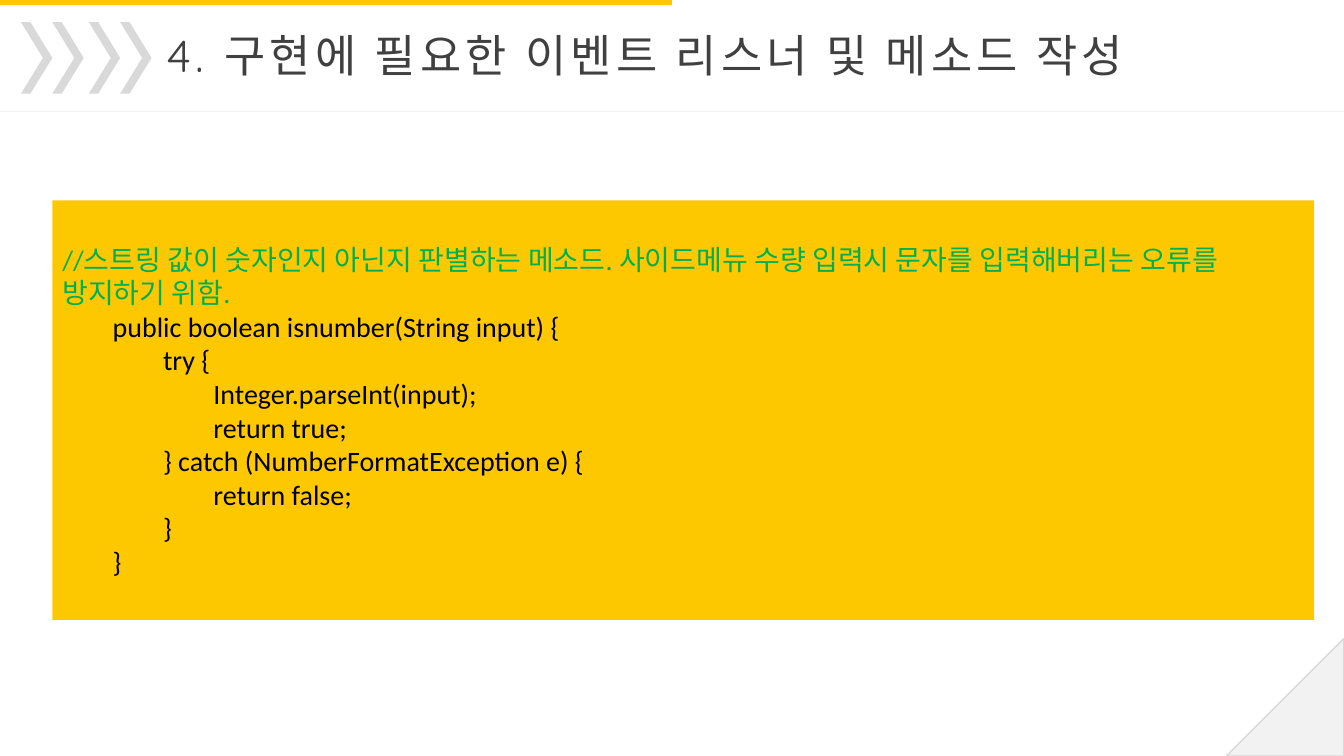
from dataclasses import dataclass

from lxml.etree import SubElement
from pptx import Presentation
from pptx.dml.color import RGBColor
from pptx.enum.shapes import MSO_CONNECTOR, MSO_SHAPE as Preset
from pptx.enum.text import MSO_ANCHOR, MSO_AUTO_SIZE, PP_ALIGN
from pptx.oxml.ns import qn
from pptx.shapes.autoshape import Shape
from pptx.slide import Slide
from pptx.text.text import _Paragraph as Paragraph
from pptx.util import Cm, Pt

YELLOW = RGBColor(0xFE, 0xC8, 0x00)
GREEN = RGBColor(0x00, 0xB0, 0x50)
BLACK = RGBColor(0x00, 0x00, 0x00)
DARK_GRAY = RGBColor(0x40, 0x40, 0x40)
GRAY = RGBColor(0xD9, 0xD9, 0xD9)
PALE_GRAY = RGBColor(0xF2, 0xF2, 0xF2)

SLIDE_WIDTH, SLIDE_HEIGHT = 33.87, 19.05
FOLD_SIZE = 2.96
RULE_TOP = 2.8
CHEVRON_WIDTH = 0.79
CHEVRON_PAIR_LEFTS = (0.53, 2.24)

TITLE = "4. 구현에 필요한 이벤트 리스너 및 메소드 작성"
COMMENT = (
    "//스트링 값이 숫자인지 아닌지 판별하는 메소드. "
    "사이드메뉴 수량 입력시 문자를 입력해버리는 오류를 방지하기 위함."
)


@dataclass(frozen=True)
class Area:
    """Left, top, width and height in centimetres."""

    left: float
    top: float
    width: float
    height: float

    def lengths(self) -> tuple[Cm, Cm, Cm, Cm]:
        return Cm(self.left), Cm(self.top), Cm(self.width), Cm(self.height)


@dataclass(frozen=True)
class CodeLine:
    depth: int
    text: str
    color: RGBColor = BLACK


CODE = (
    CodeLine(0, COMMENT, GREEN),
    CodeLine(1, "public boolean isnumber(String input) {"),
    CodeLine(2, "try {"),
    CodeLine(3, "Integer.parseInt(input);"),
    CodeLine(3, "return true;"),
    CodeLine(2, "} catch (NumberFormatException e) {"),
    CodeLine(3, "return false;"),
    CodeLine(2, "}"),
    CodeLine(1, "}"),
)


def add_filled(shapes, preset: Preset, area: Area, color: RGBColor) -> Shape:
    shape = shapes.add_shape(preset, *area.lengths())
    shape.shadow.inherit = False
    shape.fill.solid()
    shape.fill.fore_color.rgb = color
    shape.line.fill.background()
    return shape


def format_spans(para: Paragraph, font: str, size: int, color: RGBColor) -> None:
    for span in para.runs:
        span.font.name = font
        span.font.size = Pt(size)
        span.font.color.rgb = color


def add_corner_fold(page: Slide) -> None:
    area = Area(SLIDE_WIDTH - FOLD_SIZE, SLIDE_HEIGHT - FOLD_SIZE, FOLD_SIZE, FOLD_SIZE)
    fold = add_filled(page.shapes, Preset.RIGHT_TRIANGLE, area, PALE_GRAY)
    fold.line.color.rgb = GRAY
    fold.line.width = Pt(1)
    fold.element.spPr.find(qn("a:xfrm")).set("flipH", "1")


def add_header_rule(page: Slide) -> None:
    rule = page.shapes.add_connector(
        MSO_CONNECTOR.STRAIGHT, Cm(0), Cm(RULE_TOP), Cm(SLIDE_WIDTH), Cm(RULE_TOP)
    )
    rule.line.color.rgb = PALE_GRAY
    rule.line.width = Pt(0.5)
    SubElement(rule.element.spPr, qn("a:effectLst"))


def add_chevron_pair(page: Slide, left: float) -> None:
    pair = page.shapes.add_group_shape()
    for index in range(2):
        area = Area(left + index * CHEVRON_WIDTH, 0.56, CHEVRON_WIDTH, 1.8)
        chevron = add_filled(pair.shapes, Preset.CHEVRON, area, GRAY)
        chevron.adjustments[0] = 0.7


def add_code_box(page: Slide) -> None:
    box = add_filled(page.shapes, Preset.RECTANGLE, Area(1.32, 5.05, 31.8, 10.57), YELLOW)
    frame = box.text_frame
    frame.word_wrap = True
    frame.vertical_anchor = MSO_ANCHOR.MIDDLE
    frame.text = "\n".join("\t" * line.depth + line.text for line in CODE)
    for para, line in zip(frame.paragraphs, CODE):
        para.alignment = PP_ALIGN.LEFT
        format_spans(para, "Calibri", 20, line.color)


def format_title(page: Slide) -> None:
    title = page.shapes.title
    title.left, title.top, title.width, title.height = Area(3.94, 0.56, 27.08, 1.63).lengths()
    frame = title.text_frame
    frame.text = TITLE
    frame.word_wrap = False
    frame.auto_size = MSO_AUTO_SIZE.SHAPE_TO_FIT_TEXT
    frame.vertical_anchor = MSO_ANCHOR.TOP
    para = frame.paragraphs[0]
    para.alignment = PP_ALIGN.LEFT
    format_spans(para, "Quicksand", 32, DARK_GRAY)
    for span in para.runs:
        span.font._element.set("spc", "300")


def main() -> None:
    deck = Presentation()
    deck.slide_width, deck.slide_height = Cm(SLIDE_WIDTH), Cm(SLIDE_HEIGHT)
    page = deck.slides.add_slide(deck.slide_layouts.get_by_name("Title Only"))
    add_corner_fold(page)
    add_filled(page.shapes, Preset.RECTANGLE, Area(0, 0, SLIDE_WIDTH / 2, 0.13), YELLOW)
    add_header_rule(page)
    for left in CHEVRON_PAIR_LEFTS:
        add_chevron_pair(page, left)
    add_code_box(page)
    format_title(page)
    deck.save("out.pptx")


if __name__ == "__main__":
    main()
